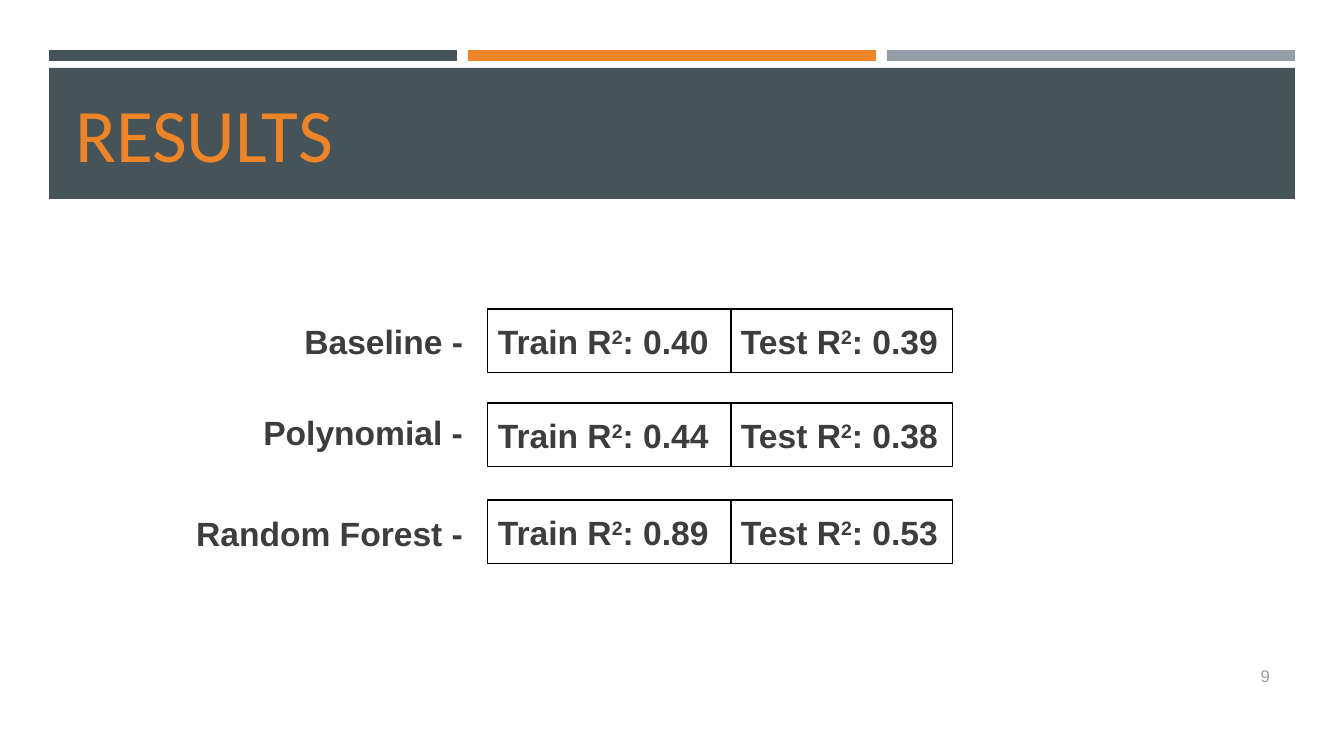
import pptx
import pptx.dml.color
import pptx.enum.shapes
import pptx.enum.text
import pptx.util

RGBColor = pptx.dml.color.RGBColor
SLATE = RGBColor(0x46, 0x53, 0x59)
ORANGE = RGBColor(0xED, 0x84, 0x28)
GRAY = RGBColor(0x96, 0x9F, 0xA7)
INK = RGBColor(0x3D, 0x3D, 0x3D)
BLACK = RGBColor(0, 0, 0)

EMU_PER_PX = 914400 / 100.8
LEFT = pptx.enum.text.PP_ALIGN.LEFT
RIGHT = pptx.enum.text.PP_ALIGN.RIGHT
BODY_FONT = {"name": "Arial", "size": pptx.util.Pt(24), "bold": True}
TITLE_FONT = {"name": "Calibri", "size": pptx.util.Pt(54), "bold": False}
NUMBER_FONT = {"name": "Arial", "size": pptx.util.Pt(12), "bold": False}
BODY_SPACING = {"space_before": pptx.util.Pt(4.8), "space_after": pptx.util.Pt(6)}
FRAME_FORMAT = {
    "word_wrap": True,
    "auto_size": pptx.enum.text.MSO_AUTO_SIZE.NONE,
    "vertical_anchor": pptx.enum.text.MSO_ANCHOR.MIDDLE,
}

ROW_HEIGHT = 64
RESULTS = [
    ("Baseline -", 309, 309, "0.40", "0.39"),
    ("Polynomial -", 400, 403, "0.44", "0.38"),
    ("Random Forest -", 501, 500, "0.89", "0.53"),
]


def px(length):
    return pptx.util.Emu(round(length * EMU_PER_PX))


def apply(target, values):
    for name, value in values.items():
        setattr(target, name, value)


def write(shape, pieces, font, color, align=LEFT, spacing=None):
    frame = shape.text_frame
    apply(frame, FRAME_FORMAT)
    para = frame.paragraphs[0]
    apply(para, {"alignment": align, **(spacing or {})})
    for text, raised in pieces:
        span = para.add_run()
        span.text = text
        apply(span.font, font)
        span.font.color.rgb = color
        if raised:
            span._r.get_or_add_rPr().set("baseline", "30000")


def add_rectangle(page, bounds):
    shape = page.shapes.add_shape(
        pptx.enum.shapes.MSO_SHAPE.RECTANGLE, *map(px, bounds)
    )
    shape.shadow.inherit = False
    return shape


def add_bar(page, bounds, color):
    bar = add_rectangle(page, bounds)
    bar.fill.solid()
    bar.fill.fore_color.rgb = color
    bar.line.fill.background()


def add_score(page, bounds, name, value):
    cell = add_rectangle(page, bounds)
    cell.fill.background()
    cell.line.color.rgb = BLACK
    cell.line.width = pptx.util.Pt(0.75)
    pieces = [(f"{name} R", False), ("2", True), (f": {value}", False)]
    write(cell, pieces, BODY_FONT, INK, spacing=BODY_SPACING)


def add_label(page, bounds, text, font, color, spacing):
    box = page.shapes.add_textbox(*map(px, bounds))
    write(box, [(text, False)], font, color, RIGHT, spacing)


def set_title(page, bounds, text):
    title = page.shapes.title
    apply(title, dict(zip(("left", "top", "width", "height"), map(px, bounds))))
    write(title, [(text, False)], TITLE_FONT, ORANGE)
    tree = page.shapes._spTree
    tree.remove(title._element)
    tree.append(title._element)


def main():
    deck = pptx.Presentation()
    deck.slide_width, deck.slide_height = px(1344), px(756)
    page = deck.slides.add_slide(deck.slide_layouts[5])

    for column, color in enumerate((SLATE, ORANGE, GRAY)):
        add_bar(page, (49 + 419 * column, 50, 408, 11), color)
    add_bar(page, (49, 68, 1246, 131), SLATE)
    set_title(page, (65, 71, 948, 123), "RESULTS")

    for model, label_top, score_top, train, test in RESULTS:
        label_bounds = (176, label_top, 297, ROW_HEIGHT)
        add_label(page, label_bounds, model, BODY_FONT, INK, BODY_SPACING)
        add_score(page, (488, score_top, 244, ROW_HEIGHT), "Train", train)
        add_score(page, (731, score_top, 222, ROW_HEIGHT), "Test", test)

    number_spacing = {"space_after": pptx.util.Pt(6)}
    add_label(page, (1164, 656, 116, 40), "9", NUMBER_FONT, GRAY, number_spacing)
    deck.save("out.pptx")


if __name__ == "__main__":
    main()
